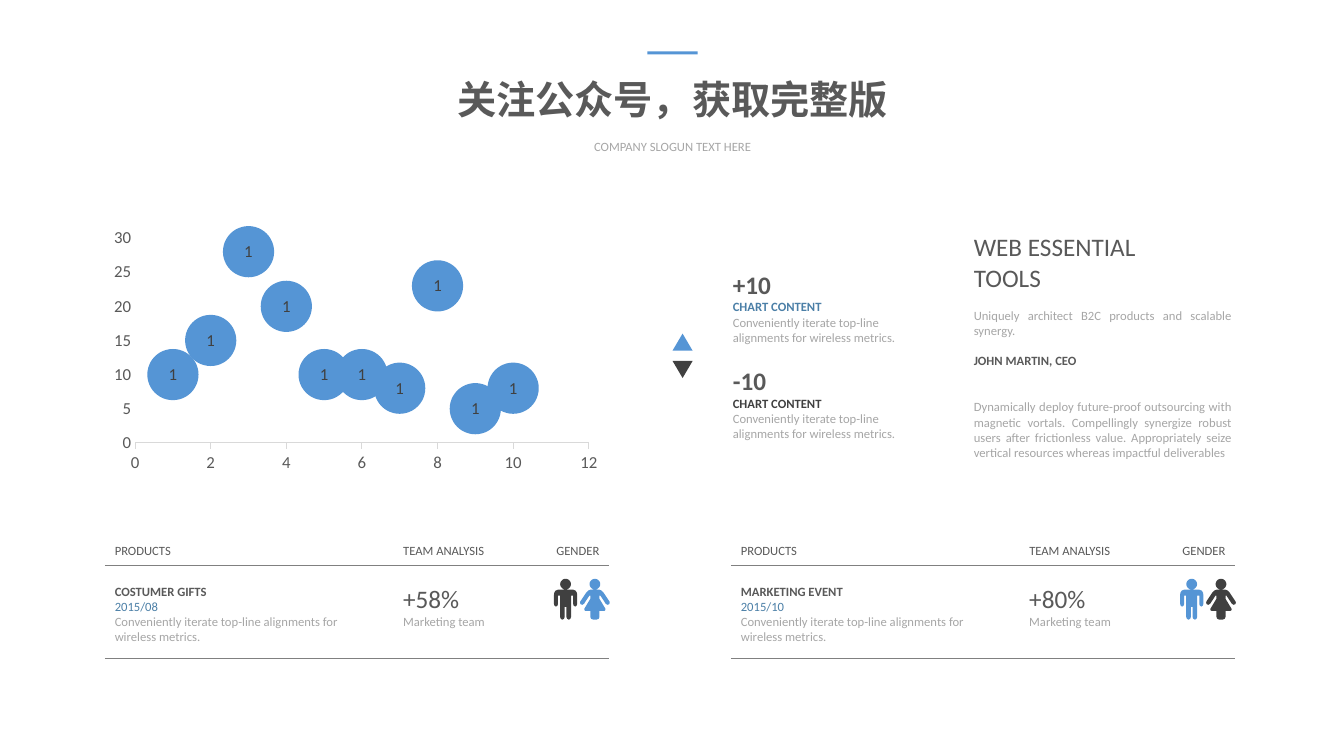
"""Build a slide with a bubble chart, a key, a text column and two product panels."""
from math import cos, pi, sin

from lxml import etree
from pptx import Presentation
from pptx.chart.data import BubbleChartData
from pptx.dml.color import RGBColor
from pptx.enum.chart import XL_CHART_TYPE, XL_LABEL_POSITION, XL_TICK_MARK
from pptx.enum.shapes import MSO_CONNECTOR, MSO_SHAPE
from pptx.enum.text import MSO_ANCHOR, MSO_AUTO_SIZE, PP_ALIGN
from pptx.oxml import parse_xml
from pptx.oxml.ns import nsdecls, qn
from pptx.util import Inches, Pt

BUBBLE = XL_CHART_TYPE.BUBBLE
CENTER_LABEL = XL_LABEL_POSITION.CENTER
TICK_OUT, TICK_NONE = XL_TICK_MARK.OUTSIDE, XL_TICK_MARK.NONE
STRAIGHT = MSO_CONNECTOR.STRAIGHT
RECT, TRIANGLE = MSO_SHAPE.RECTANGLE, MSO_SHAPE.ISOSCELES_TRIANGLE
TOP, NO_FIT = MSO_ANCHOR.TOP, MSO_AUTO_SIZE.NONE
LEFT, CENTER, JUSTIFY = PP_ALIGN.LEFT, PP_ALIGN.CENTER, PP_ALIGN.JUSTIFY

FONT = "Calibri"
COLORS = {name: RGBColor.from_string(value) for name, value in {
    "blue": "5595D5", "steel": "4B7FA7", "dark": "404040", "text": "595959",
    "muted": "A6A6A6", "rule": "808080", "axis": "D9D9D9"}.items()}

MARGIN = 1.04
PANEL_W = 5
PANEL_STEP = 6.21
HEADER_Y, PANEL_Y = 5.34, 5.74
TEAM_X = 2.86


def write(sp, box, lines, align=LEFT, wrap=True):
    """Place sp and fill it with (text, size, color, bold, space before) lines."""
    sp.left, sp.top, sp.width, sp.height = [Inches(v) for v in box]
    tf = sp.text_frame
    tf.text = "\n".join(line[0] for line in lines)
    tf.word_wrap, tf.auto_size, tf.vertical_anchor = wrap, NO_FIT, TOP
    for p, (_, size, color, bold, before) in zip(tf.paragraphs, lines):
        p.alignment, p.space_before = align, Pt(before)
        font = p.runs[0].font
        font.name, font.size, font.bold = FONT, Pt(size), bold
        font.color.rgb = COLORS[color]


def paint(sp, color):
    """Give sp a flat fill with no outline and no shadow."""
    sp.shadow.inherit = False
    sp.fill.solid()
    sp.fill.fore_color.rgb = COLORS[color]
    sp.line.fill.background()


prs = Presentation()
prs.slide_width, prs.slide_height = Inches(13.33), Inches(7.5)
s = prs.slides.add_slide(prs.slide_layouts[5])
shapes = s.shapes

write(shapes.title, (4.41, 0.7, 4.52, 0.57),
      [("关注公众号，获取完整版", 28, "text", True, 0)], CENTER, False)
write(shapes.add_textbox(0, 0, 0, 0), (5.78, 1.33, 1.78, 0.25),
      [("COMPANY SLOGUN TEXT HERE", 9, "muted", False, 0)], CENTER, False)
paint(shapes.add_shape(RECT, Inches(6.42), Inches(0.51), Inches(0.5), Inches(0.03)), "blue")

data = BubbleChartData()
series = data.add_series("Series 1")
for x, y in enumerate((10, 15, 28, 20, 10, 10, 8, 23, 5, 8), 1):
    series.add_data_point(x, y, 1)
chart = shapes.add_chart(BUBBLE, Inches(MARGIN), Inches(2.21),
                         Inches(PANEL_W), Inches(2.54), data).chart
chart.has_legend = chart.has_title = False
chart.font.name, chart.font.size = FONT, Pt(10)
plot = chart.plots[0]
fill = plot.series[0].format.fill
fill.solid()
fill.fore_color.rgb = COLORS["blue"]
plot.has_data_labels = True
labels = plot.data_labels
labels.show_value, labels.position = True, CENTER_LABEL
labels.font.name, labels.font.size = FONT, Pt(12)
labels.font.color.rgb = COLORS["dark"]
for axis, top, unit, tick in ((chart.category_axis, 12, 2, TICK_OUT),
                              (chart.value_axis, 30, 5, TICK_NONE)):
    axis.minimum_scale, axis.maximum_scale, axis.major_unit = 0, top, unit
    axis.has_major_gridlines = False
    axis.major_tick_mark, axis.minor_tick_mark = tick, TICK_NONE
    font = axis.tick_labels.font
    font.name, font.size = FONT, Pt(12)
    font.color.rgb = COLORS["text"]
chart.value_axis.format.line.fill.background()
axis_line = chart.category_axis.format.line
axis_line.width = Pt(0.75)
axis_line.color.rgb = COLORS["axis"]

plot_area = chart.element.find(".//" + qn("c:plotArea"))
for layout in plot_area.findall(qn("c:layout")):
    plot_area.remove(layout)
plot_area.insert(0, parse_xml(
    f'<c:layout {nsdecls("c")}><c:manualLayout><c:layoutTarget val="inner"/>'
    '<c:xMode val="edge"/><c:yMode val="edge"/><c:x val="0.06"/><c:y val="0.06"/>'
    '<c:w val="0.9"/><c:h val="0.8"/></c:manualLayout></c:layout>'))

for i, (value, fill_color, label_color) in enumerate((("+10", "blue", "steel"),
                                                      ("-10", "dark", "dark"))):
    marker = shapes.add_shape(TRIANGLE, Inches(6.67), Inches(3.31 + 0.27 * i),
                              Inches(0.2), Inches(0.17))
    paint(marker, fill_color)
    marker.rotation = 180 * i
    write(shapes.add_textbox(0, 0, 0, 0), (7.17, 2.62 + 0.96 * i, 2.13, 0.86), [
        (value, 18, "text", True, 0),
        ("CHART CONTENT", 9, label_color, True, 0),
        ("Conveniently iterate top-line alignments for wireless metrics.", 9, "muted", False, 0)])

write(shapes.add_textbox(0, 0, 0, 0), (9.56, 2.25, 2.75, 2.37), [
    ("WEB ESSENTIAL", 18, "text", False, 0),
    ("TOOLS", 18, "text", False, 0),
    ("Uniquely architect B2C products and scalable synergy.", 9, "muted", False, 11),
    ("JOHN MARTIN, CEO", 9, "text", True, 11),
    ("Dynamically deploy future-proof outsourcing with magnetic vortals. Compellingly "
     "synergize robust users after frictionless value. Appropriately seize vertical "
     "resources whereas impactful deliverables", 9, "muted", False, 22)], JUSTIFY)

MAN = [(0, 110), (75, 110), (100, 120), (112, 140), (115, 160), (115, 250), (110, 268),
       (95, 278), (80, 268), (75, 250), (75, 170), (55, 170), (55, 380), (48, 398),
       (32, 408), (15, 398), (8, 380), (8, 280), (0, 280)]
WOMAN = [(0, 110), (45, 110), (65, 118), (85, 138), (145, 228), (147, 242), (140, 255),
         (125, 260), (108, 250), (55, 170), (45, 170), (45, 200), (105, 300), (105, 312),
         (95, 320), (45, 320), (45, 380), (38, 398), (15, 408), (0, 408)]
HEAD = [(53 * sin(pi * k / 16), 55 - 53 * cos(pi * k / 16)) for k in range(32)]

panels = (("COSTUMER GIFTS", "2015/08", "+58%", "dark", "blue"),
          ("MARKETING EVENT", "2015/10", "+80%", "blue", "dark"))
for i, (product, date, share, man_color, woman_color) in enumerate(panels):
    x = MARGIN + PANEL_STEP * i
    for half, center, color in ((MAN, 4.57, man_color), (WOMAN, 4.86, woman_color)):
        body = half + [(-px, py) for px, py in reversed(half)]
        builder = shapes.build_freeform(*body[0], scale=914.4)
        builder.add_line_segments(body[1:])
        builder.move_to(*HEAD[0])
        builder.add_line_segments(HEAD[1:])
        paint(builder.convert_to_shape(Inches(x + center), Inches(PANEL_Y)), color)
    for header, dx, width in (("PRODUCTS", 0, 0.76), ("TEAM ANALYSIS", TEAM_X, 1.02),
                              ("GENDER", 4.38, 0.63)):
        write(shapes.add_textbox(0, 0, 0, 0), (x + dx, HEADER_Y, width, 0.25),
              [(header, 9, "text", False, 0)], wrap=False)
    write(shapes.add_textbox(0, 0, 0, 0), (x, PANEL_Y, 2.57, 0.71), [
        (product, 9, "text", True, 0),
        (date, 9, "steel", False, 0),
        ("Conveniently iterate top-line alignments for wireless metrics.", 9, "muted", False, 0)])
    write(shapes.add_textbox(0, 0, 0, 0), (x + TEAM_X, PANEL_Y, 1.03, 0.56), [
        (share, 18, "text", False, 0),
        ("Marketing team", 9, "muted", False, 0)], wrap=False)
    for y in (5.61, 6.53):
        rule = shapes.add_connector(STRAIGHT, Inches(x), Inches(y),
                                    Inches(x + PANEL_W), Inches(y))
        rule.line.width = Pt(0.25)
        rule.line.color.rgb = COLORS["rule"]
        etree.SubElement(rule.element.spPr, qn("a:effectLst"))

prs.save("out.pptx")
